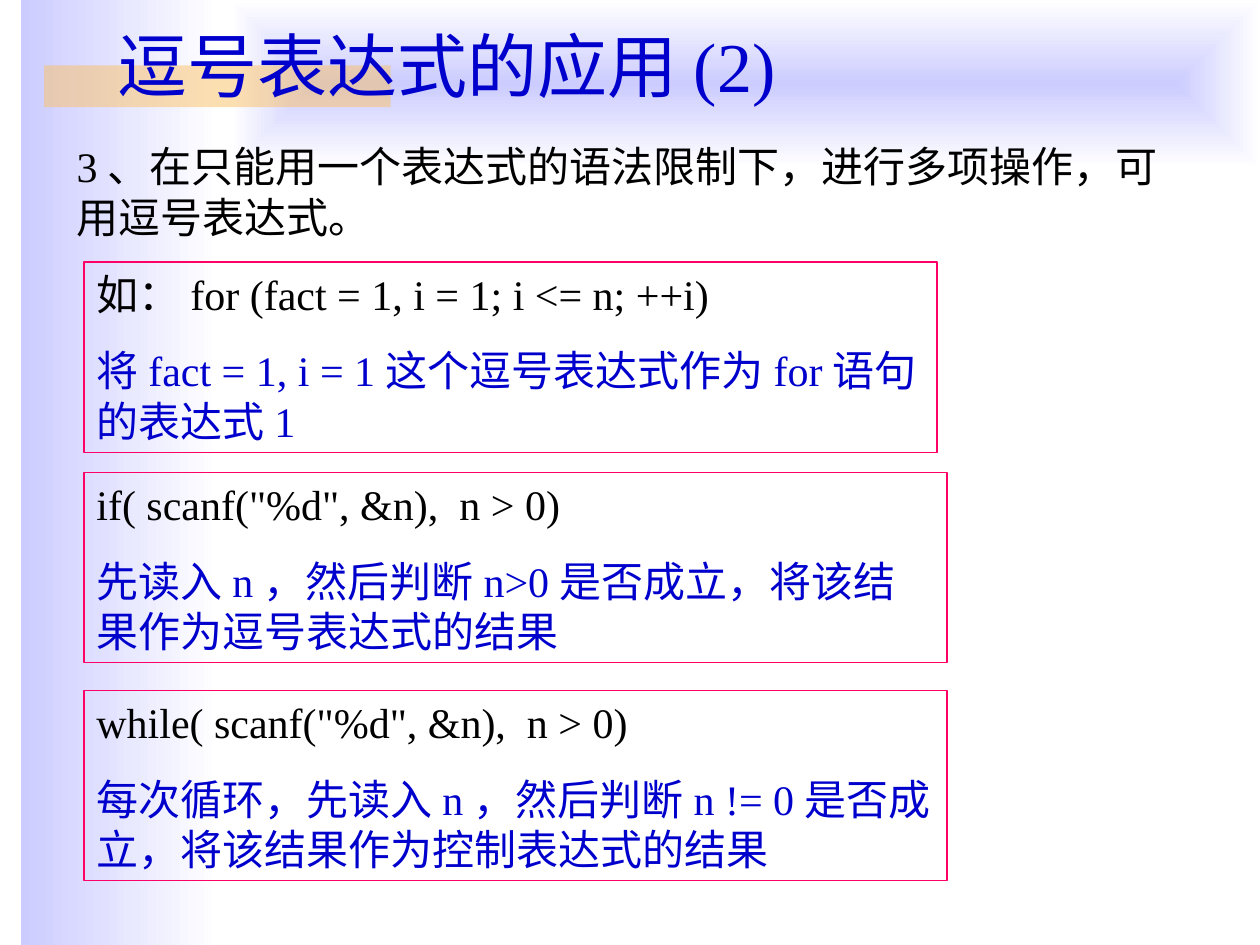
from dataclasses import dataclass
from lxml.etree import SubElement as Sub
from pptx import Presentation
from pptx.dml.color import RGBColor as RGB
from pptx.enum.shapes import MSO_SHAPE as Shape
from pptx.enum.text import MSO_ANCHOR as Anchor, PP_ALIGN as Align
from pptx.oxml.ns import qn
from pptx.util import Inches, Pt


@dataclass(frozen=True)
class Theme:
    font: str = "Times New Roman"
    head: int = 40
    body: int = 24
    gap: int = 15
    ink: RGB = RGB(0, 0, 0)
    blue: RGB = RGB(0, 0, 0xCC)
    pink: RGB = RGB(0xFF, 0, 0x66)
    lilac: RGB = RGB(0xCC, 0xCC, 0xFF)
    white: RGB = RGB(0xFF, 0xFF, 0xFF)
    gold: RGB = RGB(0xFA, 0xC1, 0x64)


T = Theme()
W, H = 10, 7.5
TITLE = "逗号表达式的应用(2)"
INTRO = "3、在只能用一个表达式的语法限制下，进行多项操作，可用逗号表达式。"
CASES = [
    (2.08, 6.77, "如：for (fact = 1, i = 1; i <= n; ++i)",
     "将fact = 1, i = 1这个逗号表达式作为for语句的表达式1"),
    (3.75, 6.85, 'if( scanf("%d", &n),  n > 0)',
     "先读入n，然后判断n>0是否成立，将该结果作为逗号表达式的结果"),
    (5.48, 6.85, 'while( scanf("%d", &n),  n > 0)',
     "每次循环，先读入n，然后判断n != 0是否成立，将该结果作为控制表达式的结果"),
]
CASE_X, CASE_H = W / 15, 1.51

prs = Presentation()
prs.slide_width, prs.slide_height = Inches(W), Inches(H)
slide = prs.slides.add_slide(prs.slide_layouts[5])
shapes = slide.shapes


def add_rect(*at):
    rect = shapes.add_shape(Shape.RECTANGLE, *map(Inches, at))
    rect.shadow.inherit = False
    rect.line.fill.background()
    return rect


def add_fade(*at):
    rect = add_rect(*at)
    rect.fill.gradient()
    rect.fill.gradient_angle = 0
    for stop, tone in zip(rect.fill.gradient_stops, (T.lilac, T.white)):
        stop.color.rgb = tone
    return rect


def write(frame, lines, size, anchor=Anchor.TOP):
    frame.word_wrap = True
    frame.vertical_anchor = anchor
    frame.text = "\n".join(text for text, tone in lines)
    for i, (para, (text, tone)) in enumerate(zip(frame.paragraphs, lines)):
        para.alignment = Align.LEFT
        para.space_before = Pt(T.gap if i else 0)
        font = para.runs[0].font
        font.name, font.size, font.color.rgb = T.font, Pt(size), tone


add_fade(W / 60, 0, 1.58, H)

band = add_fade(1.83, 0, 8.17, 1.33)
grad = band.fill._xPr.find(qn("a:gradFill"))
grad.remove(grad.find(qn("a:lin")))
focus = Sub(Sub(grad, qn("a:path"), path="rect"), qn("a:fillToRect"))
for side in "ltrb":
    focus.set(side, "50000")

bar = add_rect(0.35, 0.52, 2.75, 0.33)
bar.fill.solid()
bar.fill.fore_color.rgb = T.gold
Sub(bar.fill._xPr.find(f"{qn('a:solidFill')}/{qn('a:srgbClr')}"),
    qn("a:alpha"), val="50000")

title = shapes.title
shapes._spTree.append(title._element)
title.left, title.top, title.width, title.height = map(
    Inches, (W / 12, 0, 8.81, 1.02))
write(title.text_frame, [(TITLE, T.blue)], T.head, Anchor.MIDDLE)

intro = shapes.add_textbox(*map(Inches, (0.51, 1.07, 8.9, 0.9)))
write(intro.text_frame, [(INTRO, T.ink)], T.body)

for top, width, code, note in CASES:
    box = add_rect(CASE_X, top, width, CASE_H)
    box.fill.background()
    box.line.color.rgb = T.pink
    box.line.width = Pt(0.75)
    write(box.text_frame, [(code, T.ink), (note, T.blue)], T.body)

prs.save("out.pptx")
